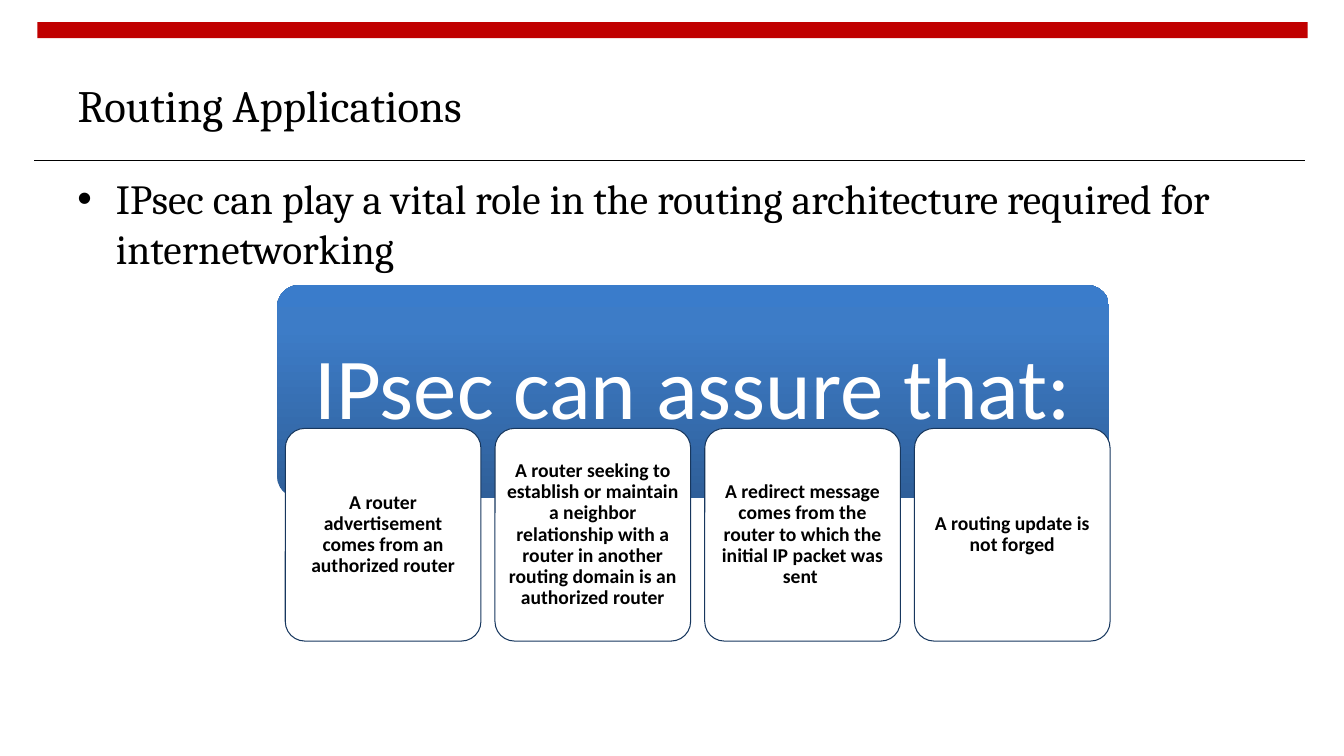
from copy import deepcopy
from dataclasses import dataclass

from lxml import etree
from pptx import Presentation
from pptx.dml.color import RGBColor
from pptx.enum.shapes import MSO_CONNECTOR, MSO_SHAPE
from pptx.enum.text import MSO_ANCHOR, MSO_AUTO_SIZE, PP_ALIGN
from pptx.oxml.ns import qn
from pptx.shapes.autoshape import Shape
from pptx.slide import Slide
from pptx.text.text import TextFrame
from pptx.util import Inches, Pt

RECT = MSO_SHAPE.RECTANGLE
ROUND = MSO_SHAPE.ROUNDED_RECTANGLE
STRAIGHT = MSO_CONNECTOR.STRAIGHT
TOP, MIDDLE = MSO_ANCHOR.TOP, MSO_ANCHOR.MIDDLE
LEFT, CENTER = PP_ALIGN.LEFT, PP_ALIGN.CENTER
NO_FIT = MSO_AUTO_SIZE.NONE

SERIF, SANS = "Cambria", "Calibri"
BLACK, WHITE, RED, NAVY = "000000", "FFFFFF", "C00000", "17375E"
BLUES = [(0, "2F5F99"), (0.8, "3D7CC7"), (1, "3A7CCB")]

CARD_LEFT, CARD_STEP, CARD_TOP = 2.83, 2.08, 4.25
CARD_WIDTH, CARD_HEIGHT = 1.94, 2.11
CLAIMS = [
    "A router advertisement comes from an authorized router",
    "A router seeking to establish or maintain a neighbor relationship "
    "with a router in another routing domain is an authorized router",
    "A redirect message comes from the router to which the initial IP packet was sent ",
    "A routing update is not forged",
]


@dataclass
class Box:
    left: float
    top: float
    width: float
    height: float

    def emu(self) -> list[int]:
        return [Inches(v) for v in (self.left, self.top, self.width, self.height)]


@dataclass
class Style:
    face: str
    size: float
    hue: str
    bold: bool = False
    align: PP_ALIGN = LEFT
    anchor: MSO_ANCHOR = MIDDLE
    space: float = 1
    inset: float | None = None


def color(code: str) -> RGBColor:
    return RGBColor.from_string(code)


def apply(target: object, values: dict) -> None:
    for name, value in values.items():
        setattr(target, name, value)


def write(frame: TextFrame, text: str, style: Style) -> None:
    apply(frame, {"text": text, "word_wrap": True, "auto_size": NO_FIT,
                  "vertical_anchor": style.anchor})
    if style.inset is not None:
        sides = ("left", "top", "right", "bottom")
        apply(frame, {f"margin_{side}": Inches(style.inset) for side in sides})
    para = frame.paragraphs[0]
    apply(para, {"alignment": style.align, "line_spacing": style.space})
    font = para.runs[0].font
    apply(font, {"name": style.face, "size": Pt(style.size), "bold": style.bold})
    font.color.rgb = color(style.hue)


def add_box(slide: Slide, kind: MSO_SHAPE, box: Box, fill: str | None = None,
            edge: str | None = None) -> Shape:
    shape = slide.shapes.add_shape(kind, *box.emu())
    shape.shadow.inherit = False
    if kind == ROUND:
        shape.adjustments[0] = 0.1
    if fill:
        shape.fill.solid()
        shape.fill.fore_color.rgb = color(fill)
    if edge:
        shape.line.color.rgb = color(edge)
        shape.line.width = Pt(0.75)
    else:
        shape.line.fill.background()
    return shape


def blend(shape: Shape, stops: list[tuple[float, str]]) -> None:
    shape.fill.gradient()
    shape.fill.gradient_angle = 90
    items = shape._element.spPr.find(qn("a:gradFill")).find(qn("a:gsLst"))
    while len(items) < len(stops):
        items.append(deepcopy(items[-1]))
    for stop, (place, code) in zip(shape.fill.gradient_stops, stops):
        stop.position = place
        stop.color.rgb = color(code)


def add_rule(slide: Slide) -> None:
    top = Inches(1.59)
    rule = slide.shapes.add_connector(STRAIGHT, Inches(0.34), top, Inches(12.94), top)
    rule.line.color.rgb = color(BLACK)
    rule.line.width = Pt(0.6)
    etree.SubElement(rule._element.spPr, qn("a:effectLst"))


def add_title(slide: Slide) -> None:
    title = slide.shapes.title
    spot = Box(0.67, 0.52, 8.87, 1.03).emu()
    apply(title, dict(zip(("left", "top", "width", "height"), spot)))
    write(title.text_frame, "Routing Applications", Style(SERIF, 32, BLACK))


def add_point(slide: Slide) -> None:
    body = slide.shapes.add_textbox(*Box(0.67, 1.67, 12.21, 0.99).emu())
    write(body.text_frame,
          "IPsec can play a vital role in the routing architecture required for internetworking",
          Style(SERIF, 29.6, BLACK, anchor=TOP))
    props = body.text_frame.paragraphs[0]._p.get_or_add_pPr()
    props.set("marL", str(Inches(0.38)))
    props.set("indent", str(-Inches(0.38)))
    etree.SubElement(props, qn("a:buFont")).set("typeface", "Arial")
    etree.SubElement(props, qn("a:buChar")).set("char", "•")


def add_panel(slide: Slide) -> None:
    banner = add_box(slide, ROUND, Box(2.75, 2.83, 8.25, 2.11))
    blend(banner, BLUES)
    write(banner.text_frame, "IPsec can assure that:",
          Style(SANS, 62, WHITE, align=CENTER, space=0.9, inset=0.26))
    style = Style(SANS, 14, BLACK, bold=True, align=CENTER, space=0.9, inset=0.06)
    for i, claim in enumerate(CLAIMS):
        spot = Box(CARD_LEFT + i * CARD_STEP, CARD_TOP, CARD_WIDTH, CARD_HEIGHT)
        card = add_box(slide, ROUND, spot, WHITE, NAVY)
        write(card.text_frame, claim, style)


def main() -> None:
    deck = Presentation()
    deck.slide_width, deck.slide_height = Inches(13.33), Inches(7.5)
    slide = deck.slides.add_slide(deck.slide_layouts[5])
    add_box(slide, RECT, Box(0.37, 0.22, 12.6, 0.16), RED)
    add_rule(slide)
    add_title(slide)
    add_point(slide)
    add_panel(slide)
    deck.save("out.pptx")


if __name__ == "__main__":
    main()
